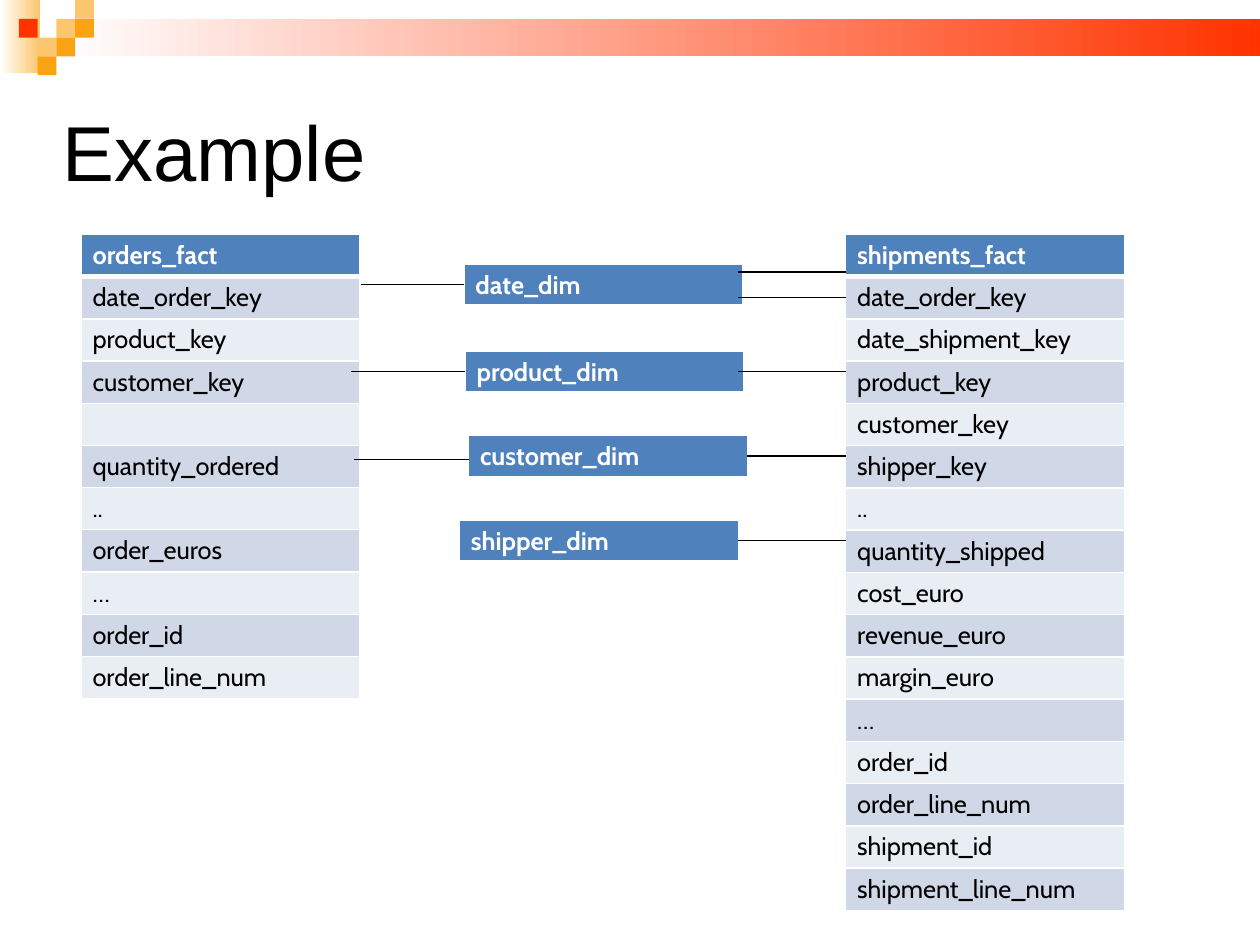
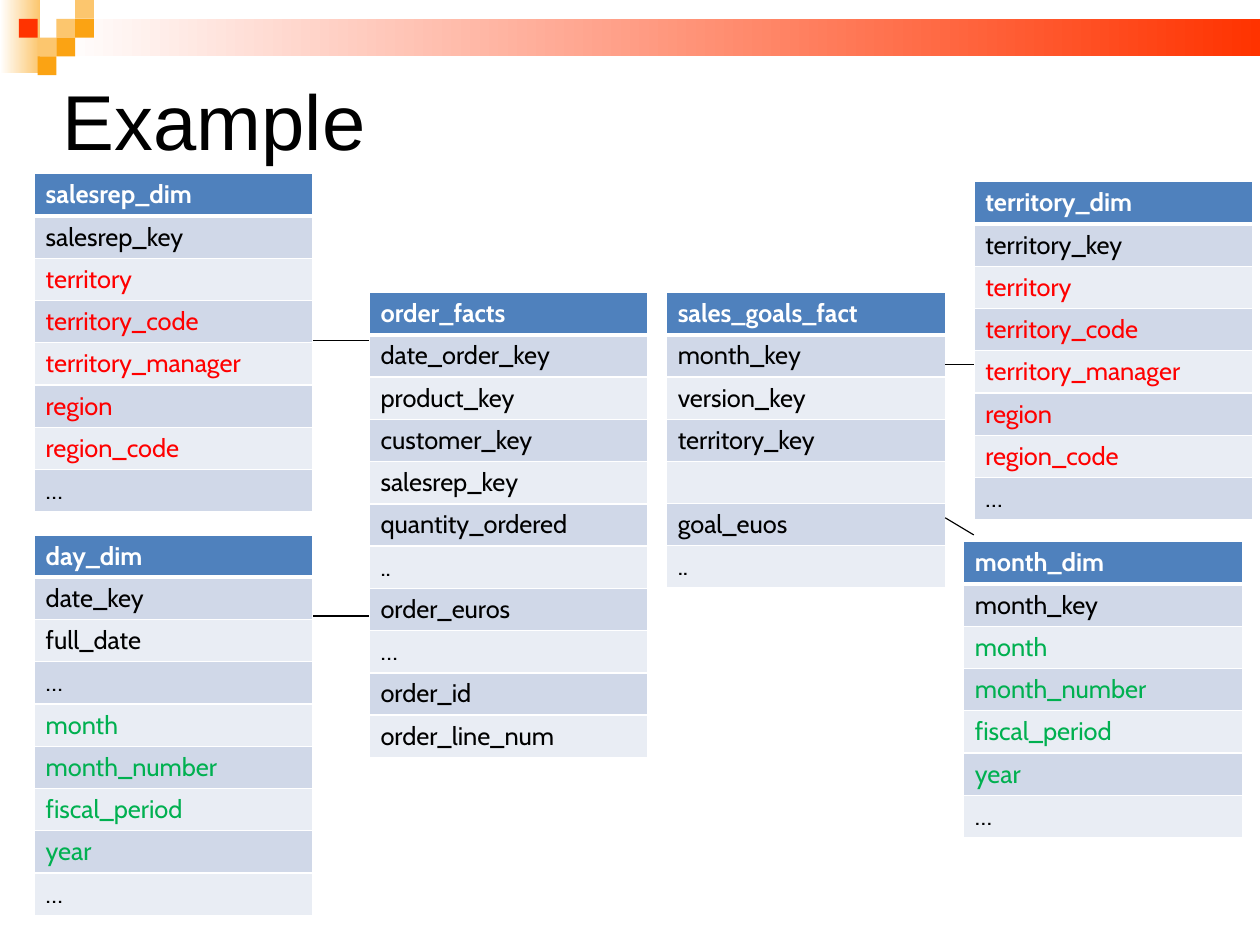
from lxml import etree
from pptx import Presentation
from pptx.dml.color import RGBColor
from pptx.enum.shapes import MSO_CONNECTOR, MSO_SHAPE
from pptx.enum.text import MSO_ANCHOR
from pptx.oxml.ns import qn
from pptx.util import Cm, Inches, Pt

RECT = MSO_SHAPE.RECTANGLE
LINE = MSO_CONNECTOR.STRAIGHT
MIDDLE = MSO_ANCHOR.MIDDLE

PAGE_W, PAGE_H = Cm(28), Cm(21)
WIDE, HIGH = PAGE_W.inches, PAGE_H.inches
UNIT = WIDE / 67
COL, ROW, GAP = 2.44, 0.37, 0.35
BLACK, WHITE = "000000", "FFFFFF"
RED, GOLD, SAND = "FF3300", "FBA313", "FCC66E"
HEAD, BANDS = "4F81BD", ("E9EDF4", "D0D8E8")
TILES = [(3, 1, SAND), (4, 0, SAND), (4, 1, GOLD), (2, 2, SAND),
         (1, 1, RED), (3, 2, GOLD), (2, 3, GOLD)]
PLACE = ["territory", "territory_code", "territory_manager", "region", "region_code"]
TIME = ["month", "month_number", "fiscal_period", "year"]
TINTS = dict.fromkeys(PLACE, "FF0000") | dict.fromkeys(TIME, "00B050")


def color(code):
    return RGBColor.from_string(code)


def inches(*sizes):
    return [Inches(size) for size in sizes]


def block(slide, box, code, fade=False):
    shape = slide.shapes.add_shape(RECT, *inches(*box))
    shape.shadow.inherit = False
    shape.line.fill.background()
    if fade:
        shape.fill.gradient()
        shape.fill.gradient_angle = 180
        for stop, shade in zip(shape.fill.gradient_stops, (code, WHITE)):
            stop.color.rgb = color(shade)
    else:
        shape.fill.solid()
        shape.fill.fore_color.rgb = color(code)


def banner(slide):
    block(slide, (0, 0, 0.35, 0.64), SAND, True)
    block(slide, (3 * UNIT, UNIT, WIDE - 3 * UNIT, 2 * UNIT), RED, True)
    for col, row, code in TILES:
        block(slide, (col * UNIT, row * UNIT, UNIT, UNIT), code)


def style(para, size, face, code, bold=False):
    font = para.font
    font.size = Pt(size)
    font.name = face
    font.bold = bold
    font.color.rgb = color(code)


def title(slide, text, top):
    frame = slide.shapes.add_textbox(*inches(0.05 * WIDE, top, 0.9 * WIDE, 0.2 * HIGH)).text_frame
    frame.word_wrap = True
    frame.vertical_anchor = MIDDLE
    frame.margin_left = frame.margin_right = frame.margin_top = frame.margin_bottom = 0
    para = frame.paragraphs[0]
    para.text = text
    para.line_spacing = 0.87
    style(para, 49, "Arial", BLACK)


def border(cell, top, base):
    props = cell._tc.get_or_add_tcPr()
    for spot, (side, width) in enumerate(zip("LRTB", (1, 1, top, base))):
        edge = etree.Element(qn("a:ln" + side), w=str(Pt(width)))
        fill = etree.SubElement(edge, qn("a:solidFill"))
        etree.SubElement(fill, qn("a:srgbClr"), val=WHITE)
        props.insert(spot, edge)


def entity(slide, left, top, names):
    sizes = [ROW if name else GAP for name in names]
    box = inches(left, top, COL, sum(sizes))
    table = slide.shapes.add_table(len(names), 1, *box).table
    for row, name in enumerate(names):
        table.rows[row].height = Inches(sizes[row])
        cell = table.cell(row, 0)
        first = row == 0
        cell.fill.solid()
        cell.fill.fore_color.rgb = color(HEAD if first else BANDS[row % 2])
        border(cell, 3 if row == 1 else 1, 3 if first else 1)
        para = cell.text_frame.paragraphs[0]
        para.text = name
        face = "Cabin" if name else "Arial"
        style(para, 16, face, WHITE if first else TINTS.get(name, BLACK), first)


def link(slide, *ends):
    line = slide.shapes.add_connector(LINE, *inches(*ends))
    line.line.width = Pt(0.75)
    line.line.color.rgb = color(BLACK)
    etree.SubElement(line._element.spPr, qn("a:effectLst"))


def diagram(deck, top, tables, links):
    slide = deck.slides.add_slide(deck.slide_layouts[6])
    banner(slide)
    title(slide, "Example", top)
    for left, y, names in tables:
        entity(slide, left, y, names)
    for ends in links:
        link(slide, *ends)


deck = Presentation()
deck.slide_width = PAGE_W
deck.slide_height = PAGE_H

ORDER = ["order_id", "order_line_num"]
KEYS = ["date_order_key", "product_key", "customer_key"]
SALES = ["quantity_ordered", "..", "order_euros", "…", *ORDER]

diagram(deck, 0.55, [
    (7.4, 2.05, ["shipments_fact", "date_order_key", "date_shipment_key", "product_key",
                 "customer_key", "shipper_key", "..", "quantity_shipped", "cost_euro",
                 "revenue_euro", "margin_euro", "…", *ORDER,
                 "shipment_id", "shipment_line_num"]),
    (0.71, 2.05, ["orders_fact", *KEYS, "", *SALES]),
    (4.06, 2.31, ["date_dim"]),
    (4.07, 3.07, ["product_dim"]),
    (4.1, 3.81, ["customer_dim"]),
    (4.02, 4.55, ["shipper_dim"]),
], [
    (3.16, 2.49, 4.06, 2.49),
    (3.07, 3.25, 4.07, 3.25),
    (6.46, 2.38, 7.4, 2.38),
    (6.46, 2.6, 7.4, 2.6),
    (6.46, 3.25, 7.4, 3.25),
    (6.54, 3.99, 7.4, 3.99),
    (3.1, 4.02, 4.1, 4.02),
    (6.46, 4.73, 7.4, 4.73),
])

diagram(deck, 0.28, [
    (0.3, 1.52, ["salesrep_dim", "salesrep_key", *PLACE, "…"]),
    (5.83, 2.56, ["sales_goals_fact", "month_key", "version_key", "territory_key", "",
                  "goal_euos", ".."]),
    (8.52, 1.59, ["territory_dim", "territory_key", *PLACE, "…"]),
    (0.3, 4.68, ["day_dim", "date_key", "full_date", "…", *TIME, "…"]),
    (3.23, 2.56, ["order_facts", *KEYS, "salesrep_key", *SALES]),
    (8.43, 4.74, ["month_dim", "month_key", *TIME, "…"]),
], [
    (2.74, 2.98, 3.23, 2.98),
    (2.74, 5.39, 3.23, 5.39),
    (8.27, 3.19, 8.52, 3.19),
    (8.27, 4.53, 8.52, 4.68),
])

deck.save("out.pptx")
